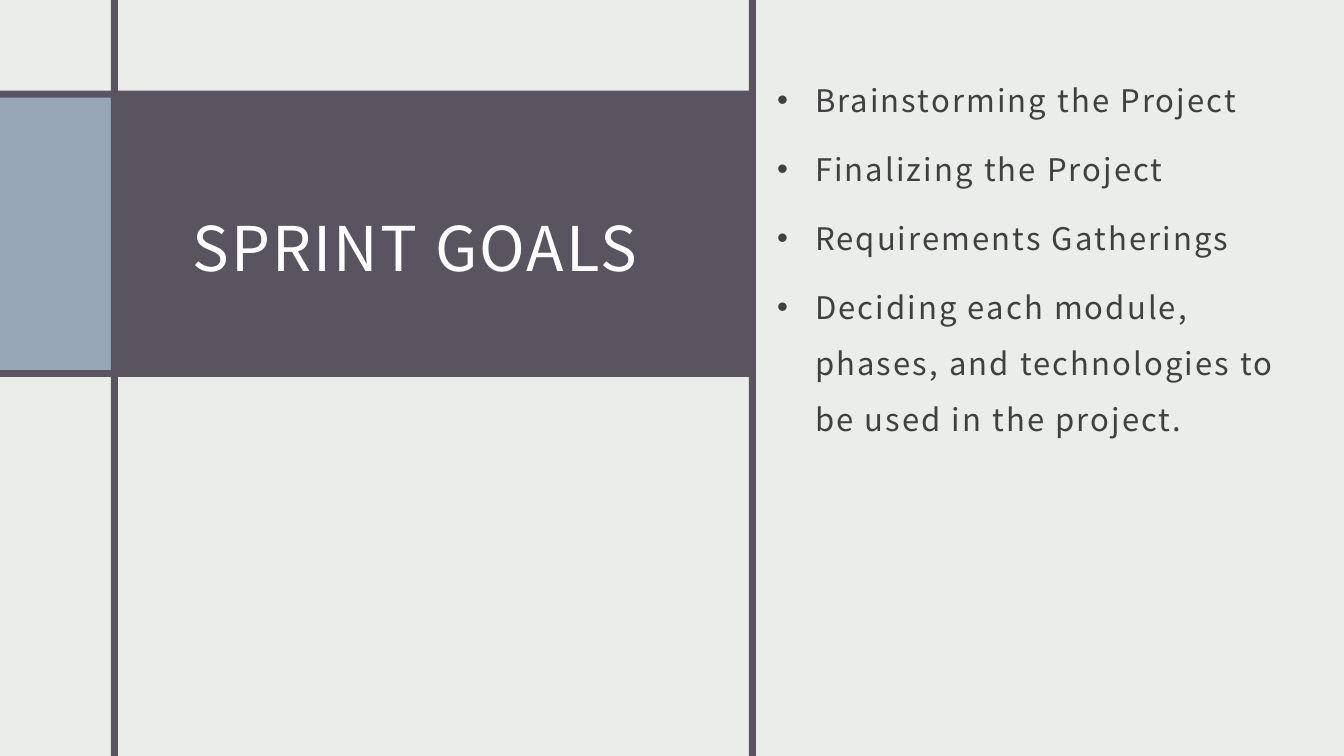
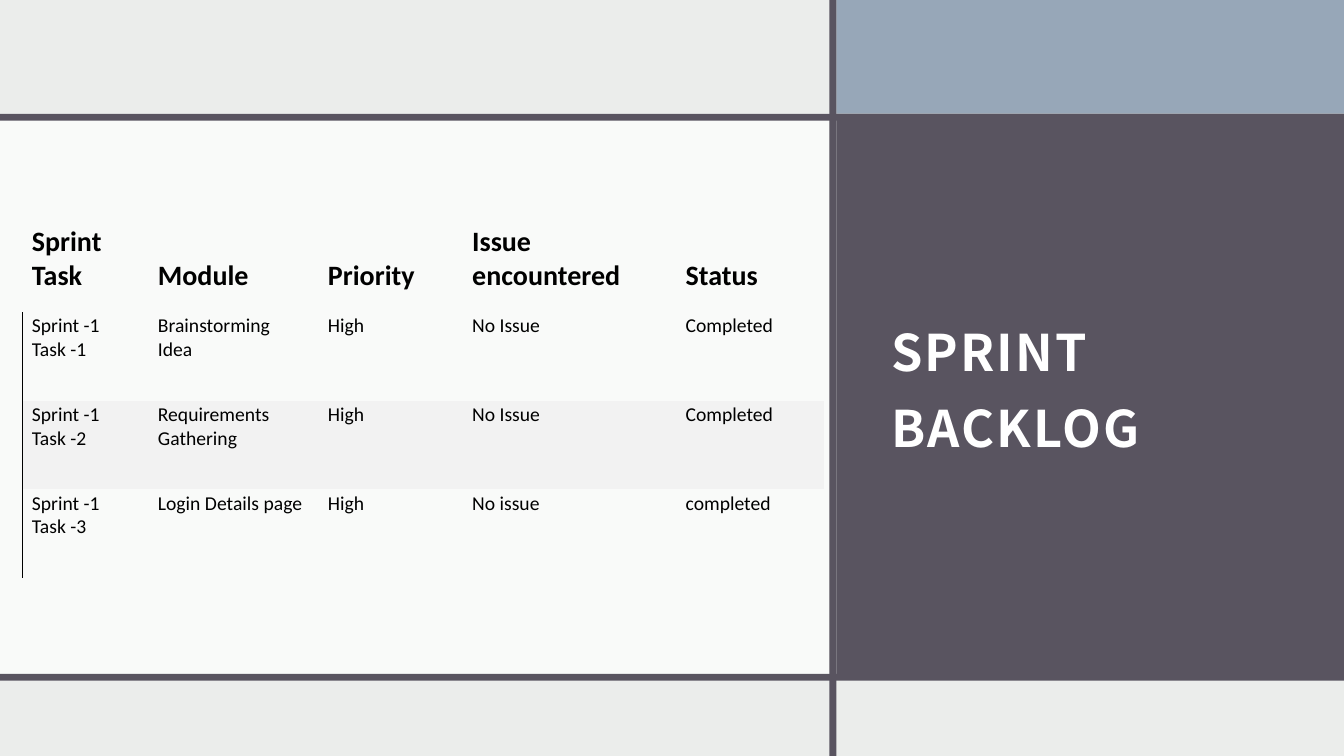
"""Build the sprint goals and sprint backlog slides."""
from dataclasses import dataclass

from lxml import etree
from pptx import Presentation
from pptx.dml.color import RGBColor
from pptx.enum.shapes import MSO_SHAPE
from pptx.enum.text import MSO_ANCHOR, MSO_AUTO_SIZE, PP_ALIGN
from pptx.oxml.ns import qn
from pptx.util import Pt

RECTANGLE = MSO_SHAPE.RECTANGLE
TOP, MIDDLE, BOTTOM = MSO_ANCHOR.TOP, MSO_ANCHOR.MIDDLE, MSO_ANCHOR.BOTTOM
NO_AUTOFIT = MSO_AUTO_SIZE.NONE
LEFT = PP_ALIGN.LEFT
TITLE_ONLY = 5
PLAIN_TABLE_STYLE = "{2D5ABB26-0587-4C30-8999-92F81FD0307C}"


@dataclass(frozen=True)
class Theme:
    """Colours, fonts, type sizes and shared lengths in points."""
    background: str = "EBEDEB"
    dark: str = "595460"
    accent: str = "97A7B8"
    white: str = "FFFFFF"
    body: str = "404040"
    black: str = "000000"
    stripe: str = "F2F2F2"
    font: str = "Noto Sans CJK JP"
    table_font: str = "Calibri"
    goals_title_size: float = 44
    backlog_title_size: float = 36
    bullet_size: float = 22.2
    header_size: float = 20
    cell_size: float = 14
    tracking: float = 1.5
    width: float = 960
    height: float = 540
    bar: float = 5


THEME = Theme()

GOALS = [
    "Brainstorming the Project",
    "Finalizing the Project",
    "Requirements Gatherings",
    "Deciding each module, phases, and technologies to be used in the project.",
]
BACKLOG = [
    ["Sprint Task", "Module", "Priority", "Issue encountered", "Status"],
    ["Sprint -1 Task -1", "Brainstorming Idea", "High", "No Issue", "Completed"],
    ["Sprint -1 Task -2", "Requirements Gathering", "High", "No Issue", "Completed"],
    ["Sprint -1 Task -3", "Login Details page", "High", "No issue", "completed"],
]
COLUMN_WIDTHS = [90, 121.5, 103, 152.5, 105]
ROW_HEIGHTS = [81.2, 63.3, 63.3, 63.3]


def add_slide(presentation):
    """Add a title-only slide with the shared background."""
    slide = presentation.slides.add_slide(presentation.slide_layouts[TITLE_ONLY])
    fill = slide.background.fill
    fill.solid()
    fill.fore_color.rgb = RGBColor.from_string(THEME.background)
    return slide


def add_block(slide, left, top, width, height, color, opacity=100):
    """Add a plain filled rectangle."""
    shape = slide.shapes.add_shape(RECTANGLE, Pt(left), Pt(top), Pt(width), Pt(height))
    shape.shadow.inherit = False
    shape.line.fill.background()
    shape.fill.solid()
    shape.fill.fore_color.rgb = RGBColor.from_string(color)
    if opacity < 100:
        color_element = shape.fill._xPr.find(".//" + qn("a:srgbClr"))
        etree.SubElement(color_element, qn("a:alpha")).set("val", str(opacity * 1000))


def add_vertical_bar(slide, left):
    """Add a dark bar over the full slide height."""
    add_block(slide, left, 0, THEME.bar, THEME.height, THEME.dark)


def add_horizontal_bar(slide, top):
    """Add a dark bar over the full slide width."""
    add_block(slide, 0, top, THEME.width, THEME.bar, THEME.dark)


def set_frame(text_frame, anchor):
    """Apply the shared insets and wrapping to a text frame."""
    text_frame.word_wrap = True
    text_frame.auto_size = NO_AUTOFIT
    text_frame.vertical_anchor = anchor
    text_frame.margin_left = text_frame.margin_top = text_frame.margin_right = Pt(8.64)
    text_frame.margin_bottom = Pt(7.2)


def format_runs(paragraph, size, color, font=THEME.font, bold=False, tracking=0):
    """Format every run of a left-aligned paragraph."""
    paragraph.alignment = LEFT
    for run in paragraph.runs:
        run.font.size = Pt(size)
        run.font.name = font
        run.font.bold = bold
        run.font.color.rgb = RGBColor.from_string(color)
        if tracking:
            run._r.get_or_add_rPr().set("spc", str(round(tracking * 100)))


def place_title(slide, text, left, top, width, height, size, anchor, bold=False):
    """Fill the title placeholder and bring it in front of the blocks."""
    title = slide.shapes.title
    title.left, title.top, title.width, title.height = Pt(left), Pt(top), Pt(width), Pt(height)
    title.text_frame.text = text
    set_frame(title.text_frame, anchor)
    paragraph = title.text_frame.paragraphs[0]
    paragraph.line_spacing = 1.25
    format_runs(paragraph, size, THEME.white, bold=bold, tracking=THEME.tracking)
    slide.shapes._spTree.append(title._element)


def add_bullets(slide, items, left, top, width, height):
    """Add a bulleted list with hanging indents."""
    text_box = slide.shapes.add_textbox(Pt(left), Pt(top), Pt(width), Pt(height))
    text_frame = text_box.text_frame
    text_frame.text = "\n".join(items)
    set_frame(text_frame, TOP)
    for paragraph in text_frame.paragraphs:
        paragraph.line_spacing = 1.5
        paragraph.space_before = Pt(9.3)
        format_runs(paragraph, THEME.bullet_size, THEME.body, tracking=THEME.tracking)
        properties = paragraph._p.get_or_add_pPr()
        properties.set("marL", str(Pt(27)))
        properties.set("indent", str(-Pt(27)))
        etree.SubElement(properties, qn("a:buFont")).set("typeface", "Arial")
        etree.SubElement(properties, qn("a:buChar")).set("char", "•")


def add_left_border(cell):
    """Draw a thin black line on the left side of a cell."""
    line = etree.Element(qn("a:lnL"), w=str(Pt(0.75)))
    fill = etree.SubElement(line, qn("a:solidFill"))
    etree.SubElement(fill, qn("a:srgbClr")).set("val", THEME.black)
    cell._tc.get_or_add_tcPr().insert(0, line)


def format_cell(cell, text, is_header, is_striped):
    """Write and style one table cell."""
    cell.text_frame.text = text
    cell.vertical_anchor = BOTTOM if is_header else TOP
    cell.margin_left, cell.margin_top = Pt(6.5), Pt(1.5)
    cell.margin_right, cell.margin_bottom = Pt(9.4 if is_header else 11.5), Pt(13.7)
    size = THEME.header_size if is_header else THEME.cell_size
    format_runs(cell.text_frame.paragraphs[0], size, THEME.black, THEME.table_font, is_header)
    if is_striped:
        cell.fill.solid()
        cell.fill.fore_color.rgb = RGBColor.from_string(THEME.stripe)
    else:
        cell.fill.background()


def add_backlog_table(slide, left, top):
    """Add the backlog table with a ruled left edge."""
    frame = slide.shapes.add_table(
        len(BACKLOG), len(COLUMN_WIDTHS), Pt(left), Pt(top),
        Pt(sum(COLUMN_WIDTHS)), Pt(sum(ROW_HEIGHTS)))
    table = frame.table
    table.horz_banding = False
    table._tbl.tblPr.find(qn("a:tableStyleId")).text = PLAIN_TABLE_STYLE
    for column, width in zip(table.columns, COLUMN_WIDTHS):
        column.width = Pt(width)
    for row, height in zip(table.rows, ROW_HEIGHTS):
        row.height = Pt(height)
    for row_index, texts in enumerate(BACKLOG):
        is_header = row_index == 0
        is_striped = not is_header and row_index % 2 == 0
        for column_index, text in enumerate(texts):
            format_cell(table.cell(row_index, column_index), text, is_header, is_striped)
        if not is_header:
            add_left_border(table.cell(row_index, 0))


def build_goals(presentation):
    """Build the sprint goals slide."""
    slide = add_slide(presentation)
    add_block(slide, 0, 64.8, 535, 204.4, THEME.dark)
    add_block(slide, 0, 69.8, 84, 194.4, THEME.accent)
    for left in (79.3, 535):
        add_vertical_bar(slide, left)
    place_title(slide, "SPRINT GOALS", 129, 83.5, 374, 171.4,
                THEME.goals_title_size, MIDDLE)
    add_bullets(slide, GOALS, 546.5, 36, 378, 322)


def build_backlog(presentation):
    """Build the sprint backlog slide."""
    slide = add_slide(presentation)
    divider, upper, lower = 592.4, 81.3, 481.3
    right = divider + THEME.bar
    right_width = THEME.width - right
    add_block(slide, 0, upper, divider, lower - upper, THEME.white, opacity=75)
    add_block(slide, right, 0, right_width, upper, THEME.accent)
    add_block(slide, right, upper, right_width, lower - upper, THEME.dark)
    for top in (upper, lower):
        add_horizontal_bar(slide, top)
    add_vertical_bar(slide, divider)
    place_title(slide, "SPRINT BACKLOG", 628, 134.6, 296, 199.5,
                THEME.backlog_title_size, BOTTOM, bold=True)
    add_backlog_table(slide, 16.3, 141.8)


def main():
    """Create and save the presentation."""
    presentation = Presentation()
    presentation.slide_width = Pt(THEME.width)
    presentation.slide_height = Pt(THEME.height)
    build_goals(presentation)
    build_backlog(presentation)
    presentation.save("out.pptx")


if __name__ == "__main__":
    main()
